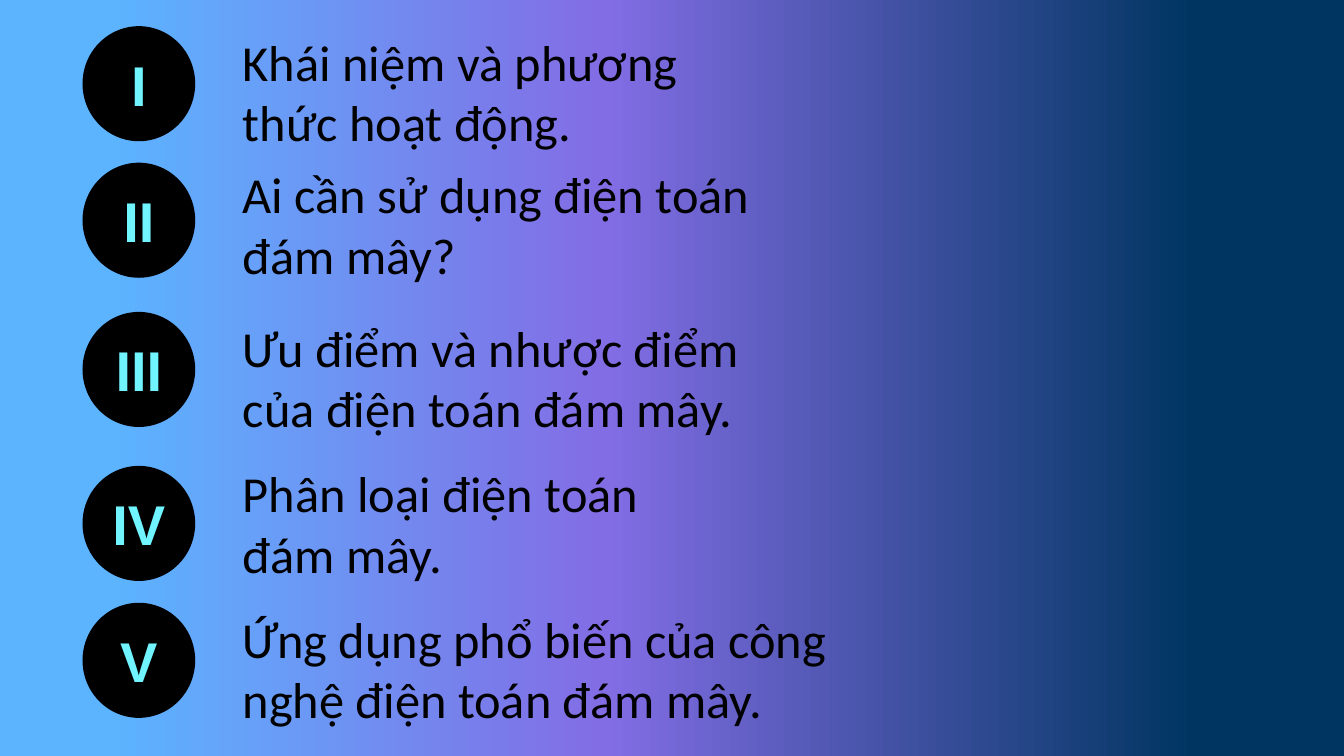
"""Build an agenda slide on cloud computing with five numbered topics."""
from dataclasses import dataclass

from lxml import etree
from pptx import Presentation
from pptx import util as u
from pptx.dml import color
from pptx.enum import shapes, text
from pptx.oxml import ns
from pptx.slide import Slide
from pptx.text.text import TextFrame

COLORS = {
    "navy": "003561",
    "violet": "826DE5",
    "sky": "5CB4FF",
    "black": "000000",
    "cyan": "70F4FF",
}
BACKGROUND_STOPS = ((11, "navy"), (55, "violet"), (92, "sky"))
BADGE_LEFT, BADGE_WIDTH, BADGE_HEIGHT = u.Cm(2.08), u.Cm(2.84), u.Cm(2.9)
TOPIC_LEFT = u.Cm(5.87)


@dataclass(frozen=True)
class Topic:
    """A numbered topic, with its measures in centimetres."""

    numeral: str
    title: str
    badge_top: float
    title_top: float
    title_width: float
    title_height: float = 3.33


TOPICS = (
    Topic("I", "Khái niệm và phương thức hoạt động.", 0.66, 0.66, 11.86),
    Topic("II", "Ai cần sử dụng điện toán đám mây?", 4.1, 3.99, 13.69, 4.88),
    Topic("III", "Ưu điểm và nhược điểm của điện toán đám mây.", 7.86, 7.86, 14),
    Topic("IV", "Phân loại điện toán đám mây.", 11.74, 11.53, 11.86),
    Topic("V", "Ứng dụng phổ biến của công nghệ điện toán đám mây.", 15.19, 15.19, 15.6),
)


def rgb(name: str) -> color.RGBColor:
    """Return the named colour."""
    return color.RGBColor.from_string(COLORS[name])


def paint_background(slide: Slide) -> None:
    """Fill the background with a horizontal three-stop gradient."""
    fill = slide.background.fill
    fill.gradient()
    fill.gradient_angle = 180
    stop_list = slide.element.find(".//" + ns.qn("a:gsLst"))
    for stop in list(stop_list):
        stop_list.remove(stop)
    for percent, name in BACKGROUND_STOPS:
        stop = etree.SubElement(stop_list, ns.qn("a:gs"), pos=str(percent * 1000))
        etree.SubElement(stop, ns.qn("a:srgbClr"), val=COLORS[name])


def write(frame: TextFrame, wording: str, font: str, size: int, name: str,
          bold: bool = False) -> None:
    """Add one styled run to the first paragraph of a frame."""
    run = frame.paragraphs[0].add_run()
    run.text = wording
    run.font.name = font
    run.font.size = u.Pt(size)
    run.font.bold = bold
    run.font.color.rgb = rgb(name)


def draw_topic(slide: Slide, topic: Topic) -> None:
    """Draw a round numeral badge grouped with its title."""
    group = slide.shapes.add_group_shape()
    badge = group.shapes.add_shape(
        shapes.MSO_SHAPE.OVAL, BADGE_LEFT, u.Cm(topic.badge_top),
        BADGE_WIDTH, BADGE_HEIGHT)
    badge.shadow.inherit = False
    badge.fill.solid()
    badge.fill.fore_color.rgb = rgb("black")
    badge.line.fill.background()
    badge.text_frame.word_wrap = False
    badge.text_frame.vertical_anchor = text.MSO_ANCHOR.MIDDLE
    badge.text_frame.paragraphs[0].alignment = text.PP_ALIGN.CENTER
    write(badge.text_frame, topic.numeral, "Arial", 40, "cyan", bold=True)

    title = group.shapes.add_textbox(
        TOPIC_LEFT, u.Cm(topic.title_top),
        u.Cm(topic.title_width), u.Cm(topic.title_height))
    title.text_frame.word_wrap = True
    title.text_frame.auto_size = text.MSO_AUTO_SIZE.SHAPE_TO_FIT_TEXT
    write(title.text_frame, topic.title, "Calibri", 36, "black")


def main() -> None:
    """Create and save the presentation."""
    presentation = Presentation()
    presentation.slide_width = u.Cm(33.87)
    presentation.slide_height = u.Cm(19.05)
    slide = presentation.slides.add_slide(presentation.slide_layouts[6])
    paint_background(slide)
    for topic in TOPICS:
        draw_topic(slide, topic)
    presentation.save("out.pptx")


if __name__ == "__main__":
    main()
